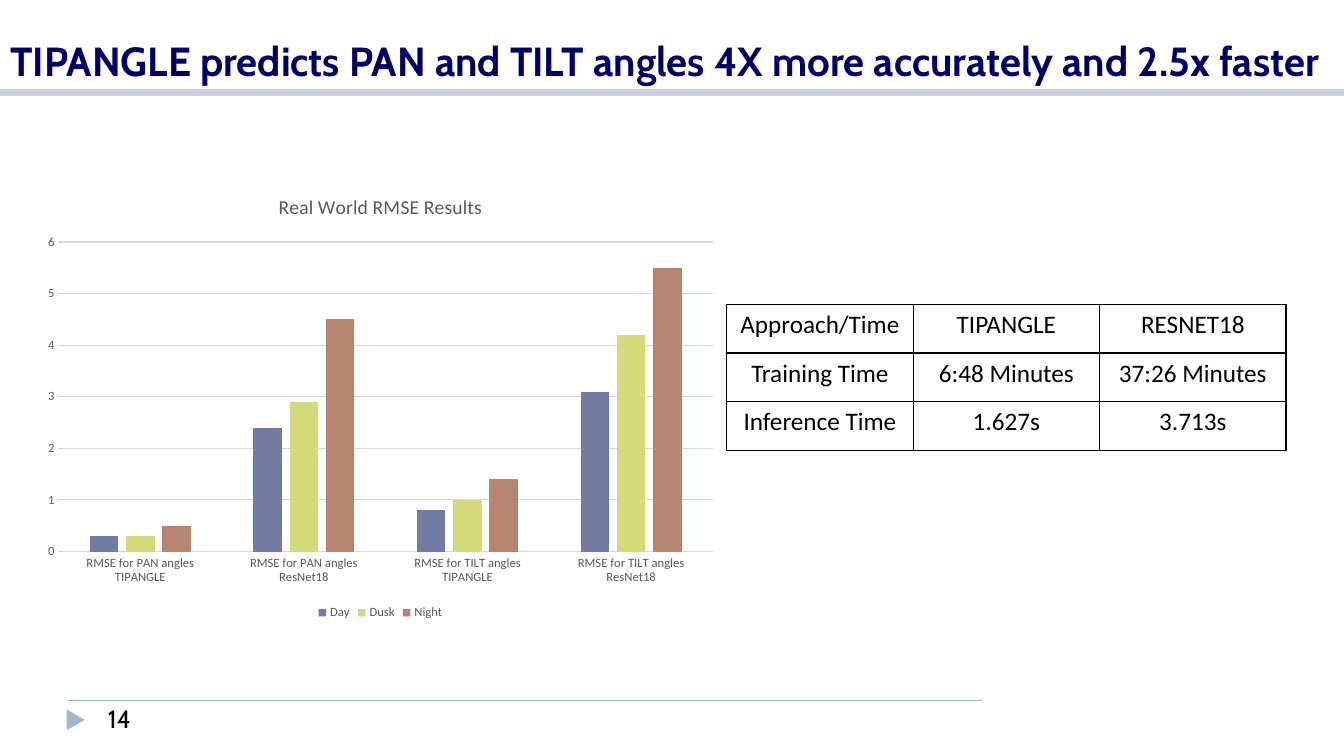
from dataclasses import dataclass

from pptx import Presentation
from pptx.chart import data as chart_data
from pptx.dml.color import RGBColor
from pptx.enum import chart as ch, shapes, text
from pptx.oxml import ns, xmlchemy
from pptx.util import Pt

BLACK = RGBColor(0x00, 0x00, 0x00)
NAVY = RGBColor(0x00, 0x00, 0x66)
SKY = RGBColor(0x9F, 0xB8, 0xCD)
LAVENDER = RGBColor(0xCC, 0xD0, 0xE0)
GREY = RGBColor(0x59, 0x59, 0x59)
LIGHT_GREY = RGBColor(0xD9, 0xD9, 0xD9)
SLATE = RGBColor(0x72, 0x7C, 0xA3)
LIME = RGBColor(0xD2, 0xDA, 0x7A)
CLAY = RGBColor(0xB8, 0x84, 0x72)


@dataclass(frozen=True)
class Rule:
    left: float
    right: float
    y: float
    weight: float
    color: RGBColor


@dataclass(frozen=True)
class Lighting:
    name: str
    rmse: tuple[float, ...]
    color: RGBColor


RULES = (
    Rule(48, 701.3, 500.4, 1, SKY),
    Rule(0, 960, 66.4, 5, LAVENDER),
)
CATEGORIES = [
    f"RMSE for {angle} angles {model}"
    for angle in ("PAN", "TILT")
    for model in ("TIPANGLE", "ResNet18")
]
LIGHTINGS = (
    Lighting("Day", (0.3, 2.4, 0.8, 3.1), SLATE),
    Lighting("Dusk", (0.3, 2.9, 1, 4.2), LIME),
    Lighting("Night", (0.5, 4.5, 1.4, 5.5), CLAY),
)
TIMES = (
    ("Approach/Time", "TIPANGLE", "RESNET18"),
    ("Training Time", "6:48 Minutes", "37:26 Minutes"),
    ("Inference Time", "1.627s", "3.713s"),
)
COLUMN_WIDTH = 133.2
ROW_HEIGHT = 34.8


def style_font(font, size: float, color: RGBColor, name: str = "Calibri",
               bold: bool = False) -> None:
    font.size = Pt(size)
    font.name = name
    font.bold = bold
    font.color.rgb = color


def write(frame, content: str, *, size: float = 18, color: RGBColor = BLACK,
          name: str = "Calibri", bold: bool = False,
          align=text.PP_ALIGN.LEFT) -> None:
    paragraph = frame.paragraphs[0]
    paragraph.alignment = align
    run = paragraph.add_run()
    run.text = content
    style_font(run.font, size, color, name, bold)


def draw_rule(slide, rule: Rule) -> None:
    line = slide.shapes.add_connector(
        shapes.MSO_CONNECTOR.STRAIGHT,
        Pt(rule.left), Pt(rule.y), Pt(rule.right), Pt(rule.y))
    line.line.color.rgb = rule.color
    line.line.width = Pt(rule.weight)
    line._element.spPr.append(xmlchemy.OxmlElement("a:effectLst"))


def draw_title(slide) -> None:
    title = slide.shapes.title
    title.left, title.top, title.width, title.height = Pt(0), Pt(0), Pt(960), Pt(64)
    frame = title.text_frame
    frame.auto_size = text.MSO_AUTO_SIZE.NONE
    frame.vertical_anchor = text.MSO_ANCHOR.BOTTOM
    write(frame, "TIPANGLE predicts PAN and TILT angles 4X more accurately and 2.5x faster",
          size=29, color=NAVY, name="Cabin", bold=True)


def draw_page_number(slide) -> None:
    marker = slide.shapes.add_shape(
        shapes.MSO_SHAPE.ISOSCELES_TRIANGLE, Pt(46.6), Pt(507.7), Pt(15), Pt(13))
    marker.rotation = 90
    marker.shadow.inherit = False
    marker.fill.solid()
    marker.fill.fore_color.rgb = SKY
    marker.line.fill.background()
    number = slide.shapes.add_textbox(Pt(70), Pt(499), Pt(99.4), Pt(28.8))
    number.text_frame.word_wrap = True
    write(number.text_frame, "14", name="Cabin")


def draw_rmse_chart(slide) -> None:
    results = chart_data.CategoryChartData()
    results.categories = CATEGORIES
    for lighting in LIGHTINGS:
        results.add_series(lighting.name, lighting.rmse)
    chart = slide.shapes.add_chart(
        ch.XL_CHART_TYPE.COLUMN_CLUSTERED,
        Pt(24.5), Pt(125.3), Pt(494.6), Pt(320.4), results).chart
    style_font(chart.font, 10, BLACK)
    chart.has_title = True
    write(chart.chart_title.text_frame, "Real World RMSE Results",
          size=14, color=GREY, align=text.PP_ALIGN.CENTER)
    chart.chart_title.include_in_layout = False
    chart.has_legend = True
    chart.legend.position = ch.XL_LEGEND_POSITION.BOTTOM
    chart.legend.include_in_layout = False
    style_font(chart.legend.font, 9, GREY)

    for axis in (chart.category_axis, chart.value_axis):
        axis.major_tick_mark = ch.XL_TICK_MARK.NONE
        axis.minor_tick_mark = ch.XL_TICK_MARK.NONE
        style_font(axis.tick_labels.font, 9, GREY)
    values = chart.value_axis
    values.minimum_scale, values.maximum_scale, values.major_unit = 0, 6, 1
    values.format.line.fill.background()
    values.has_major_gridlines = True
    for line in (chart.category_axis.format.line, values.major_gridlines.format.line):
        line.color.rgb = LIGHT_GREY
        line.width = Pt(0.75)

    plot = chart.plots[0]
    plot.gap_width = 219
    plot.overlap = -27
    plot.vary_by_categories = False
    for series, lighting in zip(plot.series, LIGHTINGS):
        series.format.fill.solid()
        series.format.fill.fore_color.rgb = lighting.color


def border_cell(cell) -> None:
    properties = cell._tc.get_or_add_tcPr()
    for position, side in enumerate(("a:lnL", "a:lnR", "a:lnT", "a:lnB")):
        edge = xmlchemy.OxmlElement(side)
        edge.set("w", str(Pt(1)))
        fill = xmlchemy.OxmlElement("a:solidFill")
        color = xmlchemy.OxmlElement("a:srgbClr")
        color.set("val", str(BLACK))
        fill.append(color)
        edge.append(fill)
        properties.insert(position, edge)


def draw_times_table(slide) -> None:
    rows, columns = len(TIMES), len(TIMES[0])
    times = slide.shapes.add_table(
        rows, columns, Pt(519.1), Pt(217.4),
        Pt(columns * COLUMN_WIDTH), Pt(rows * ROW_HEIGHT)).table
    times.first_row = False
    times.horz_banding = False
    for column in times.columns:
        column.width = Pt(COLUMN_WIDTH)
    for row, entries in zip(times.rows, TIMES):
        row.height = Pt(ROW_HEIGHT)
        for cell, entry in zip(row.cells, entries):
            cell.fill.background()
            border_cell(cell)
            write(cell.text_frame, entry, align=text.PP_ALIGN.CENTER)


def main() -> None:
    deck = Presentation()
    deck.slide_width, deck.slide_height = Pt(960), Pt(540)
    slide = deck.slides.add_slide(deck.slide_layouts[5])
    for rule in RULES:
        draw_rule(slide, rule)
    draw_title(slide)
    draw_page_number(slide)
    draw_rmse_chart(slide)
    draw_times_table(slide)
    deck.save("out.pptx")


if __name__ == "__main__":
    main()
